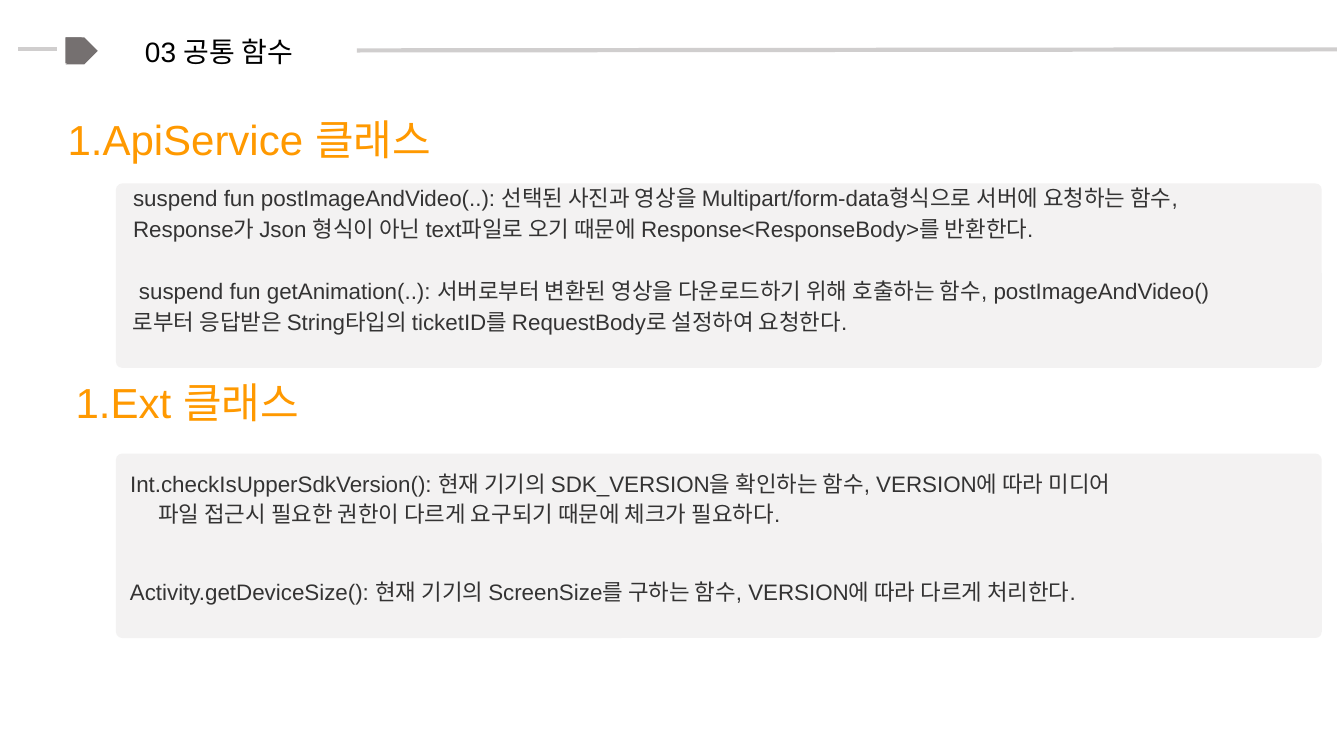
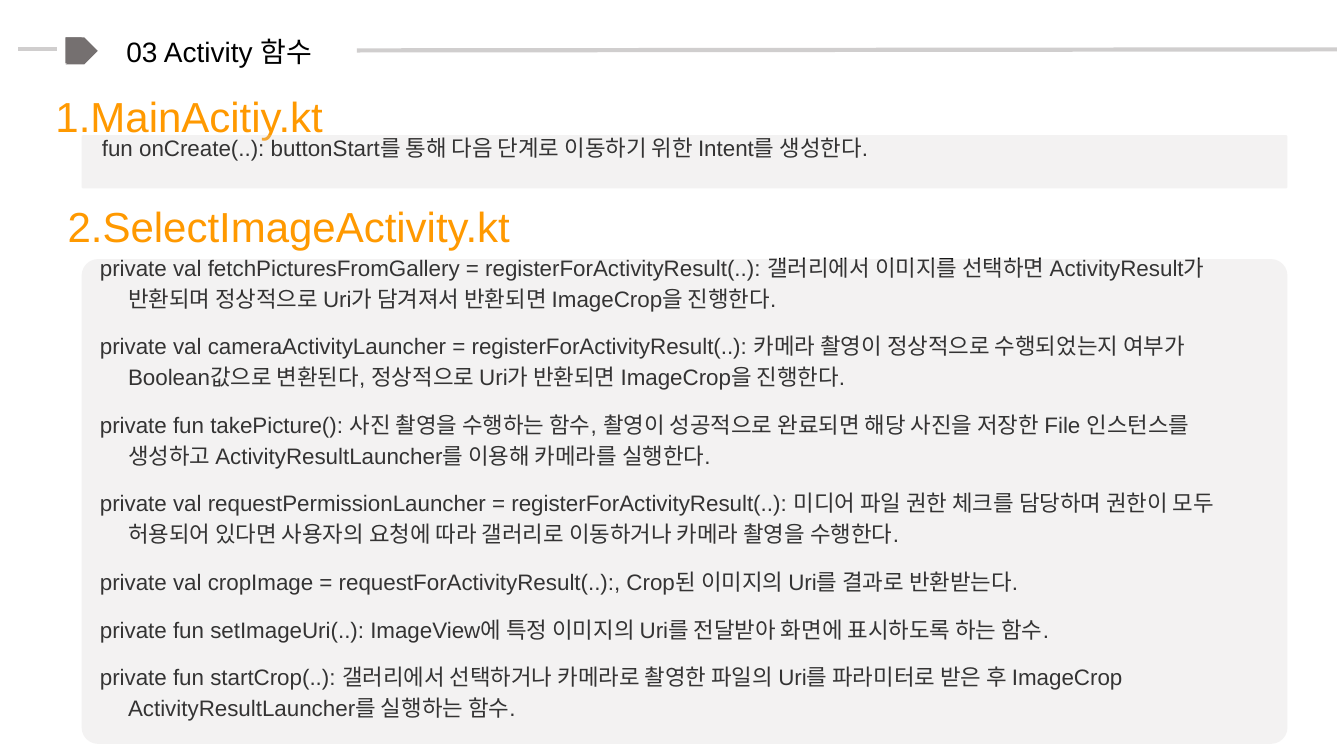
from dataclasses import dataclass

from lxml import etree
from pptx import Presentation
from pptx.dml.color import RGBColor
from pptx.enum import shapes as sh, text as tx
from pptx.oxml import ns
from pptx.util import Inches, Pt

BLACK = RGBColor(0x00, 0x00, 0x00)
AMBER = RGBColor(0xFF, 0x99, 0x00)
GRAY = RGBColor(0x75, 0x70, 0x70)
PALE = RGBColor(0xD0, 0xCE, 0xCE)

SIDE = Inches(0.1)
THIN = Inches(0.05)
GROW = tx.MSO_AUTO_SIZE.SHAPE_TO_FIT_TEXT
MID = tx.MSO_ANCHOR.MIDDLE
LEFT = tx.PP_ALIGN.LEFT


@dataclass(frozen=True)
class Style:
    frame: dict
    para: dict
    font: dict


def font(size: int, color: RGBColor) -> dict:
    return {"name": "Arial", "size": Pt(size), "bold": False, "color": color}


def frame(pad: int, anchor, fit) -> dict:
    return {"margin_left": SIDE, "margin_right": SIDE, "margin_top": pad,
            "margin_bottom": pad, "vertical_anchor": anchor,
            "word_wrap": True, "auto_size": fit}


def para(align, line: float, gap: int) -> dict:
    return {"alignment": align, "line_spacing": line,
            "space_before": Pt(gap), "space_after": Pt(0)}


TITLE = Style(frame(THIN, MID, tx.MSO_AUTO_SIZE.NONE),
              para(tx.PP_ALIGN.CENTER, 1.0, 0), font(20, BLACK))
HEAD = Style(frame(THIN, MID, GROW), para(LEFT, 1.3, 0), font(30, AMBER))
BODY = Style(frame(SIDE, tx.MSO_ANCHOR.TOP, GROW),
             para(LEFT, 1.15, 12), font(16, BLACK))


@dataclass
class Note:
    box: tuple
    lines: list
    style: Style = BODY
    slot: int | None = None
    left: float = 0
    first: float = 0


@dataclass
class Panel:
    top: float
    height: float


@dataclass
class Page:
    title: str
    notes: list
    panels: list
    edge: float


def head(left: float, top: float, label: str, slot: int) -> Note:
    return Note((left, top, 6.83, 0.61), [label], HEAD, slot)


def assign(item, values: dict) -> None:
    for key, value in values.items():
        if key == "color":
            item.color.rgb = value
        else:
            setattr(item, key, value)


def place(shape, box: tuple) -> None:
    names = ("left", "top", "width", "height")
    assign(shape, {key: Inches(size) for key, size in zip(names, box)})


def write(shape, note: Note) -> None:
    place(shape, note.box)
    body = shape.text_frame
    assign(body, note.style.frame)
    for i, line in enumerate(note.lines):
        item = body.paragraphs[0] if i == 0 else body.add_paragraph()
        assign(item, note.style.para)
        run = item.add_run()
        run.text = line
        assign(run.font, note.style.font)
        props = item._p.get_or_add_pPr()
        props.set("marL", str(Inches(note.left)))
        props.set("indent", str(Inches(note.first)))
        etree.SubElement(props, ns.qn("a:buNone"))


def block(slide, kind, box: tuple, color: RGBColor):
    shape = slide.shapes.add_shape(kind, *map(Inches, box))
    shape.shadow.inherit = False
    shape.fill.solid()
    shape.fill.fore_color.rgb = color
    shape.line.fill.background()
    return shape


def rule(slide, ends: tuple) -> None:
    line = slide.shapes.add_connector(sh.MSO_CONNECTOR.STRAIGHT, *map(Inches, ends))
    line.line.color.rgb = PALE
    line.line.width = Pt(3)
    etree.SubElement(line._element.spPr, ns.qn("a:effectLst"))


def band(slide, title: str) -> None:
    block(slide, sh.MSO_SHAPE.CHEVRON, (0.65, 0.37, 0.32, 0.27), GRAY)
    block(slide, sh.MSO_SHAPE.RECTANGLE, (0.65, 0.37, 0.16, 0.26), GRAY)
    rule(slide, (0.18, 0.49, 0.57, 0.49))
    rule(slide, (3.54, 0.5, 13.26, 0.49))
    write(slide.shapes.title, Note((0.81, 0.24, 2.73, 0.53), [title], TITLE))


def cover(slide, panel: Panel, edge: float) -> None:
    box = (edge, panel.top, 11.96, panel.height)
    shape = block(slide, sh.MSO_SHAPE.ROUNDED_RECTANGLE, box, PALE)
    shape.adjustments[0] = 0.034
    tint = shape._element.spPr.find(".//" + ns.qn("a:srgbClr"))
    etree.SubElement(tint, ns.qn("a:alpha")).set("val", "25000")


def draw(deck, page: Page) -> None:
    slide = deck.slides.add_slide(deck.slide_layouts.get_by_name("Comparison"))
    slots = {hold.placeholder_format.idx: hold for hold in slide.placeholders}
    band(slide, page.title)
    for note in page.notes:
        if note.slot is None:
            shape = slide.shapes.add_textbox(*map(Inches, note.box))
        else:
            shape = slots[note.slot]
        write(shape, note)
    for panel in page.panels:
        cover(slide, panel, page.edge)


PAGES = [
    Page("03 공통 함수", [
        head(0.57, 1, "1.ApiService 클래스", 1),
        Note((1.22, 1.69, 11.4, 0.78), [
            "suspend fun postImageAndVideo(..): 선택된 사진과 영상을 "
            "Multipart/form-data형식으로 서버에 요청하는 함수, Response가 Json 형식이 "
            "아닌 text파일로 오기 때문에 Response<ResponseBody>를 반환한다."], slot=2),
        Note((1.22, 2.61, 11.4, 1.26), [
            "suspend fun getAnimation(..): 서버로부터 변환된 영상을 다운로드하기 위해 "
            "호출하는 함수, postImageAndVideo()로부터 응답받은 String타입의 "
            "ticketID를 RequestBody로 설정하여 요청한다."], first=0.06),
        head(0.65, 3.61, "1.Ext 클래스", 3),
        Note((0.57, 4.52, 10.88, 0.78), [
            "Int.checkIsUpperSdkVersion(): 현재 기기의 SDK_VERSION을 확인하는 함수, "
            "VERSION에 따라 미디어 파일 접근시 필요한 권한이 다르게 요구되기 때문에 "
            "체크가 필요하다."], slot=4, left=0.9, first=-0.28),
        Note((0.57, 5.6, 10.72, 0.47), [
            "Activity.getDeviceSize(): 현재 기기의 ScreenSize를 구하는 함수, "
            "VERSION에 따라 다르게 처리한다."], left=0.9, first=-0.28),
    ], [Panel(1.82, 1.83), Panel(4.5, 1.83)], 1.15),
    Page("03 Activity 함수", [
        head(0.45, 0.77, "1.MainAcitiy.kt", 1),
        Note((0.22, 1.19, 10.95, 0.47), [
            "fun onCreate(..): buttonStart를 통해 다음 단계로 이동하기 위한 "
            "Intent를 생성한다."], slot=2, left=0.97, first=-0.28),
        head(0.57, 1.86, "2.SelectImageActivity.kt", 3),
        Note((0.2, 2.38, 12.29, 4.89), [
            "private val fetchPicturesFromGallery = registerForActivityResult(..): "
            "갤러리에서 이미지를 선택하면 ActivityResult가 반환되며 정상적으로 Uri가 "
            "담겨져서 반환되면 ImageCrop을 진행한다.",
            "private val cameraActivityLauncher = registerForActivityResult(..): "
            "카메라 촬영이 정상적으로 수행되었는지 여부가 Boolean값으로 변환된다, "
            "정상적으로 Uri가 반환되면 ImageCrop을 진행한다.",
            "private fun takePicture(): 사진 촬영을 수행하는 함수, 촬영이 성공적으로 "
            "완료되면 해당 사진을 저장한 File 인스턴스를 생성하고 "
            "ActivityResultLauncher를 이용해 카메라를 실행한다.",
            "private val requestPermissionLauncher = registerForActivityResult(..): "
            "미디어 파일 권한 체크를 담당하며 권한이 모두 허용되어 있다면 사용자의 "
            "요청에 따라 갤러리로 이동하거나 카메라 촬영을 수행한다.",
            "private val cropImage = requestForActivityResult(..):, Crop된 이미지의 "
            "Uri를 결과로 반환받는다.",
            "private fun setImageUri(..): ImageView에 특정 이미지의 Uri를 전달받아 "
            "화면에 표시하도록 하는 함수.",
            "private fun startCrop(..): 갤러리에서 선택하거나 카메라로 촬영한 파일의 "
            "Uri를 파라미터로 받은 후 ImageCrop ActivityResultLauncher를 실행하는 "
            "함수."], slot=4, left=0.97, first=-0.28),
    ], [Panel(2.57, 4.81), Panel(1.34, 0.53)], 0.81),
]

deck = Presentation()
assign(deck, {"slide_width": Inches(13.33), "slide_height": Inches(7.5)})
for page in PAGES:
    draw(deck, page)
deck.save("out.pptx")
